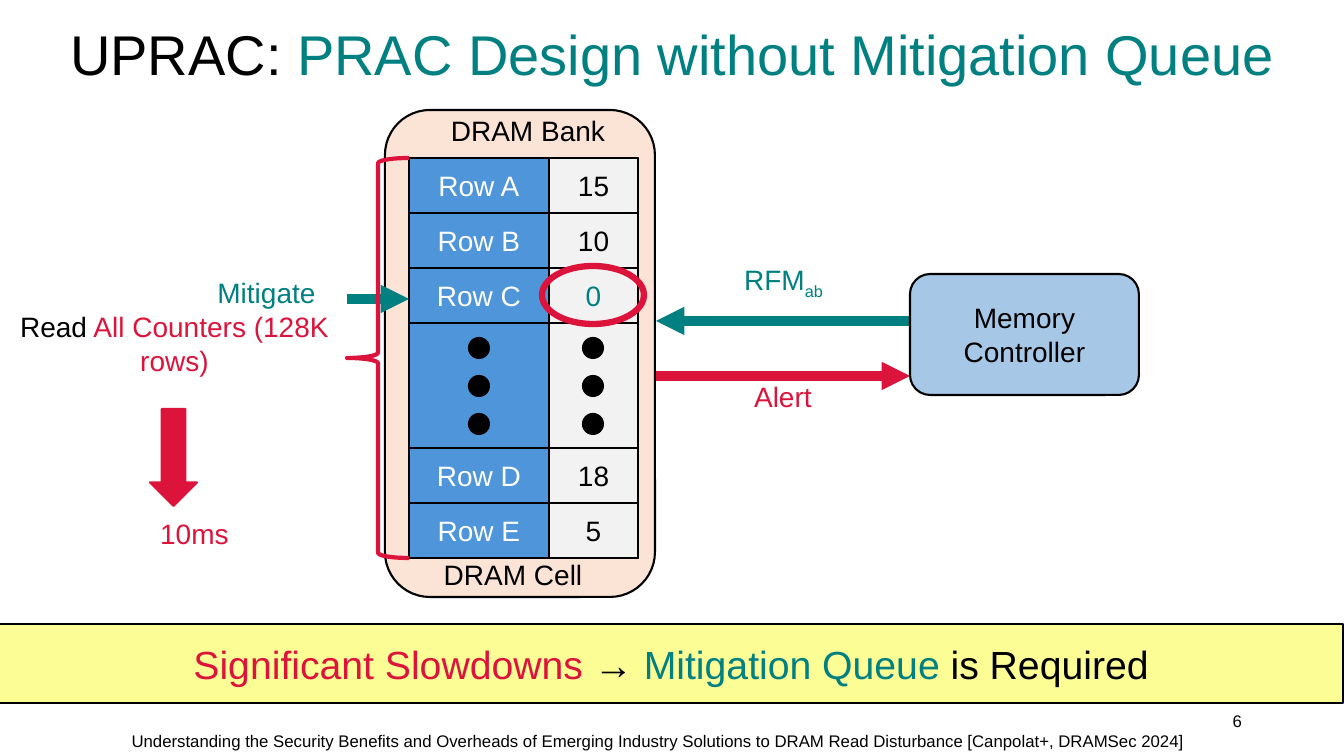
"""Build the UPRAC slide on PRAC design without a mitigation queue."""
from dataclasses import dataclass
from typing import Optional

import pptx
import pptx.dml.color
import pptx.enum.shapes
import pptx.enum.text
import pptx.oxml.xmlchemy
import pptx.util

RGBColor = pptx.dml.color.RGBColor
MSO_SHAPE = pptx.enum.shapes.MSO_SHAPE
PP_ALIGN = pptx.enum.text.PP_ALIGN
MSO_ANCHOR = pptx.enum.text.MSO_ANCHOR

BLACK = RGBColor(0x00, 0x00, 0x00)
WHITE = RGBColor(0xFF, 0xFF, 0xFF)
TEAL = RGBColor(0x00, 0x80, 0x80)
CRIMSON = RGBColor(0xDC, 0x14, 0x3C)
YELLOW = RGBColor(0xFD, 0xFD, 0x96)
PEACH = RGBColor(0xFB, 0xE3, 0xD6)
GREY = RGBColor(0xF2, 0xF2, 0xF2)
ROW_BLUE = RGBColor(0x4E, 0x95, 0xD9)
CONTROLLER_BLUE = RGBColor(0xA7, 0xC7, 0xE7)

EMU_PER_PX = 914400 / 100.8
FONT = "Arial"
TABLE_TOP, TABLE_HEIGHT, ROW_HEIGHT = 158, 400, 55
ROW_LEFT, ROW_WIDTH = 409, 140
COUNTER_LEFT, COUNTER_WIDTH = 549, 89
DOT_TOP, DOT_STEP, DOT_SIZE = 338, 38, 20


@dataclass(frozen=True)
class Box:
    left: int
    top: int
    width: int
    height: int


@dataclass(frozen=True)
class Span:
    text: str
    color: RGBColor = BLACK
    subscript: bool = False


@dataclass(frozen=True)
class Label:
    box: Box
    spans: tuple[Span, ...]
    size: int = 20
    align: PP_ALIGN = PP_ALIGN.CENTER
    anchor: MSO_ANCHOR = MSO_ANCHOR.TOP


@dataclass(frozen=True)
class Part:
    kind: MSO_SHAPE
    box: Box
    fill: Optional[RGBColor] = None
    line: RGBColor = BLACK
    weight: float = 1.5
    spans: tuple[Span, ...] = ()
    size: int = 20


@dataclass(frozen=True)
class Arrow:
    start: int
    end: int
    y: int
    color: RGBColor


@dataclass(frozen=True)
class MemoryRow:
    name: str
    count: str
    top: int
    count_color: RGBColor = BLACK


def px(length: int) -> int:
    """Turn pixels into EMU."""
    return round(length * EMU_PER_PX)


def place(box: Box) -> tuple[int, int, int, int]:
    """Give a box in EMU."""
    return px(box.left), px(box.top), px(box.width), px(box.height)


def write(frame, spans: tuple[Span, ...], size: int,
          align: PP_ALIGN = PP_ALIGN.CENTER,
          anchor: MSO_ANCHOR = MSO_ANCHOR.MIDDLE) -> None:
    """Write one paragraph of coloured spans."""
    frame.word_wrap = True
    frame.vertical_anchor = anchor
    paragraph = frame.paragraphs[0]
    paragraph.alignment = align
    for span in spans:
        run = paragraph.add_run()
        run.text = span.text
        run.font.name = FONT
        run.font.size = pptx.util.Pt(size)
        run.font.color.rgb = span.color
        if span.subscript:
            run.font._element.set("baseline", "-25000")


def draw_label(slide, label: Label) -> None:
    """Draw a text box."""
    frame = slide.shapes.add_textbox(*place(label.box)).text_frame
    write(frame, label.spans, label.size, label.align, label.anchor)


def draw_part(slide, part: Part) -> None:
    """Draw a preset shape with its text."""
    shape = slide.shapes.add_shape(part.kind, *place(part.box))
    shape.shadow.inherit = False
    if part.fill is None:
        shape.fill.background()
    else:
        shape.fill.solid()
        shape.fill.fore_color.rgb = part.fill
    shape.line.color.rgb = part.line
    shape.line.width = pptx.util.Pt(part.weight)
    if part.spans:
        write(shape.text_frame, part.spans, part.size)


def draw_arrow(slide, arrow: Arrow) -> None:
    """Draw a thick horizontal arrow."""
    connector = slide.shapes.add_connector(
        pptx.enum.shapes.MSO_CONNECTOR.STRAIGHT,
        px(arrow.start), px(arrow.y), px(arrow.end), px(arrow.y))
    connector.line.color.rgb = arrow.color
    connector.line.width = pptx.util.Pt(6.75)
    head = pptx.oxml.xmlchemy.OxmlElement("a:tailEnd")
    head.set("type", "triangle")
    connector.line._get_or_add_ln().append(head)
    connector._element.spPr.append(pptx.oxml.xmlchemy.OxmlElement("a:effectLst"))


def draw_memory(slide, rows: tuple[MemoryRow, ...]) -> None:
    """Draw the rows of the bank, their counters and the dots between."""
    columns = ((ROW_LEFT, ROW_WIDTH, ROW_BLUE), (COUNTER_LEFT, COUNTER_WIDTH, GREY))
    for left, width, fill in columns:
        draw_part(slide, Part(MSO_SHAPE.RECTANGLE,
                              Box(left, TABLE_TOP, width, TABLE_HEIGHT), fill))
        for i in range(3):
            dot = Box(left + (width - DOT_SIZE) // 2, DOT_TOP + i * DOT_STEP,
                      DOT_SIZE, DOT_SIZE)
            draw_part(slide, Part(MSO_SHAPE.OVAL, dot, BLACK))
    for row in rows:
        spans = (Span(row.name, WHITE), Span(row.count, row.count_color))
        for (left, width, fill), span in zip(columns, spans):
            draw_part(slide, Part(MSO_SHAPE.RECTANGLE, Box(left, row.top, width, ROW_HEIGHT),
                                  fill, spans=(span,)))


def main() -> None:
    """Build and save the slide."""
    presentation = pptx.Presentation()
    presentation.slide_width, presentation.slide_height = px(1344), px(756)
    slide = presentation.slides.add_slide(presentation.slide_layouts[5])
    title = slide.shapes.title
    title.left, title.top, title.width, title.height = place(Box(0, 15, 1344, 85))
    write(title.text_frame, (Span("UPRAC: "),
                             Span("PRAC Design without Mitigation Queue", TEAL)), 40)
    title.text_frame.paragraphs[0].line_spacing = 0.9

    draw_part(slide, Part(
        MSO_SHAPE.RECTANGLE, Box(-1, 624, 1344, 79), YELLOW, size=28,
        spans=(Span("Significant Slowdowns ", CRIMSON), Span("→ "),
               Span("Mitigation Queue", TEAL), Span(" is Required"))))
    draw_part(slide, Part(MSO_SHAPE.ROUNDED_RECTANGLE, Box(385, 110, 270, 487), PEACH))
    upper = [TABLE_TOP + i * ROW_HEIGHT for i in range(3)]
    lower = [TABLE_TOP + TABLE_HEIGHT - i * ROW_HEIGHT for i in (2, 1)]
    draw_memory(slide, (MemoryRow("Row A", "15", upper[0]),
                        MemoryRow("Row B", "10", upper[1]),
                        MemoryRow("Row C", "0", upper[2], TEAL),
                        MemoryRow("Row D", "18", lower[0]),
                        MemoryRow("Row E", "5", lower[1])))
    for arrow in (Arrow(656, 910, 376, CRIMSON), Arrow(910, 656, 321, TEAL),
                  Arrow(347, 409, 299, TEAL)):
        draw_arrow(slide, arrow)
    for part in (
        Part(MSO_SHAPE.ROUNDED_RECTANGLE, Box(910, 274, 229, 121),
             CONTROLLER_BLUE, spans=(Span("Memory Controller"),)),
        Part(MSO_SHAPE.LEFT_BRACE, Box(347, TABLE_TOP, 62, TABLE_HEIGHT), line=CRIMSON, weight=3),
        Part(MSO_SHAPE.DOWN_ARROW, Box(150, 409, 47, 97), CRIMSON, CRIMSON),
        Part(MSO_SHAPE.OVAL, Box(542, 266, 102, 58), line=CRIMSON, weight=4.5),
    ):
        draw_part(slide, part)
    for label in (
        Label(Box(425, 109, 206, 44), (Span("DRAM Bank"),)),
        Label(Box(425, 553, 176, 44), (Span("DRAM Cell"),)),
        Label(Box(723, 375, 120, 44), (Span("Alert", CRIMSON),)),
        Label(Box(714, 258, 139, 44), (Span("RFM", TEAL), Span("ab", TEAL, True))),
        Label(Box(182, 271, 169, 44), (Span("Mitigate", TEAL),)),
        Label(Box(2, 305, 345, 78), (Span("Read"), Span(" All Counters (128K rows)", CRIMSON))),
        Label(Box(132, 512, 125, 44), (Span("10ms", CRIMSON),)),
        Label(Box(950, 701, 302, 40), (Span("6"),), 12, PP_ALIGN.RIGHT, MSO_ANCHOR.MIDDLE),
        Label(Box(0, 726, 1317, 30), (Span(
            "Understanding the Security Benefits and Overheads of Emerging Industry "
            "Solutions to DRAM Read Disturbance [Canpolat+, DRAMSec 2024]"),), 12),
    ):
        draw_label(slide, label)
    presentation.save("out.pptx")


if __name__ == "__main__":
    main()
